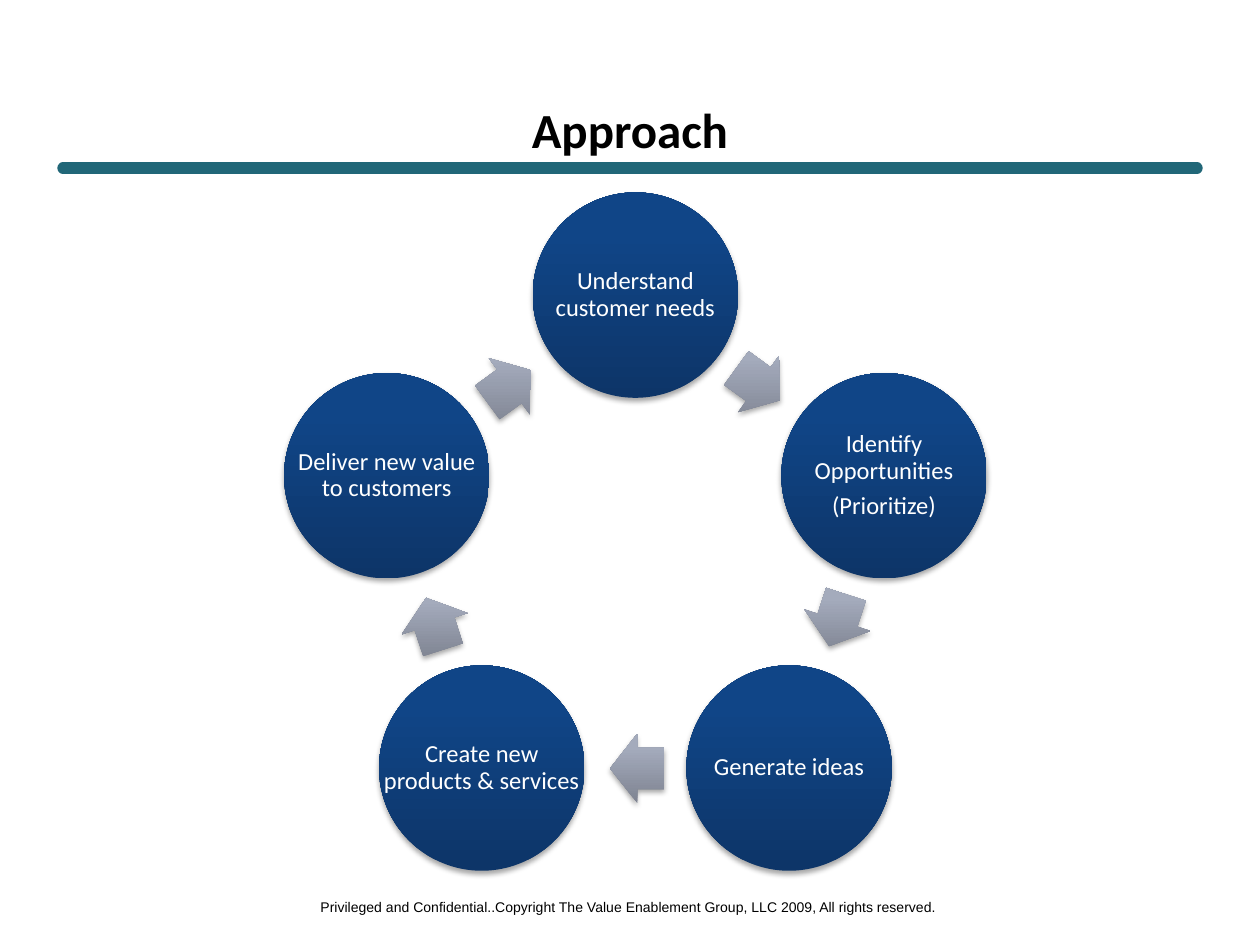
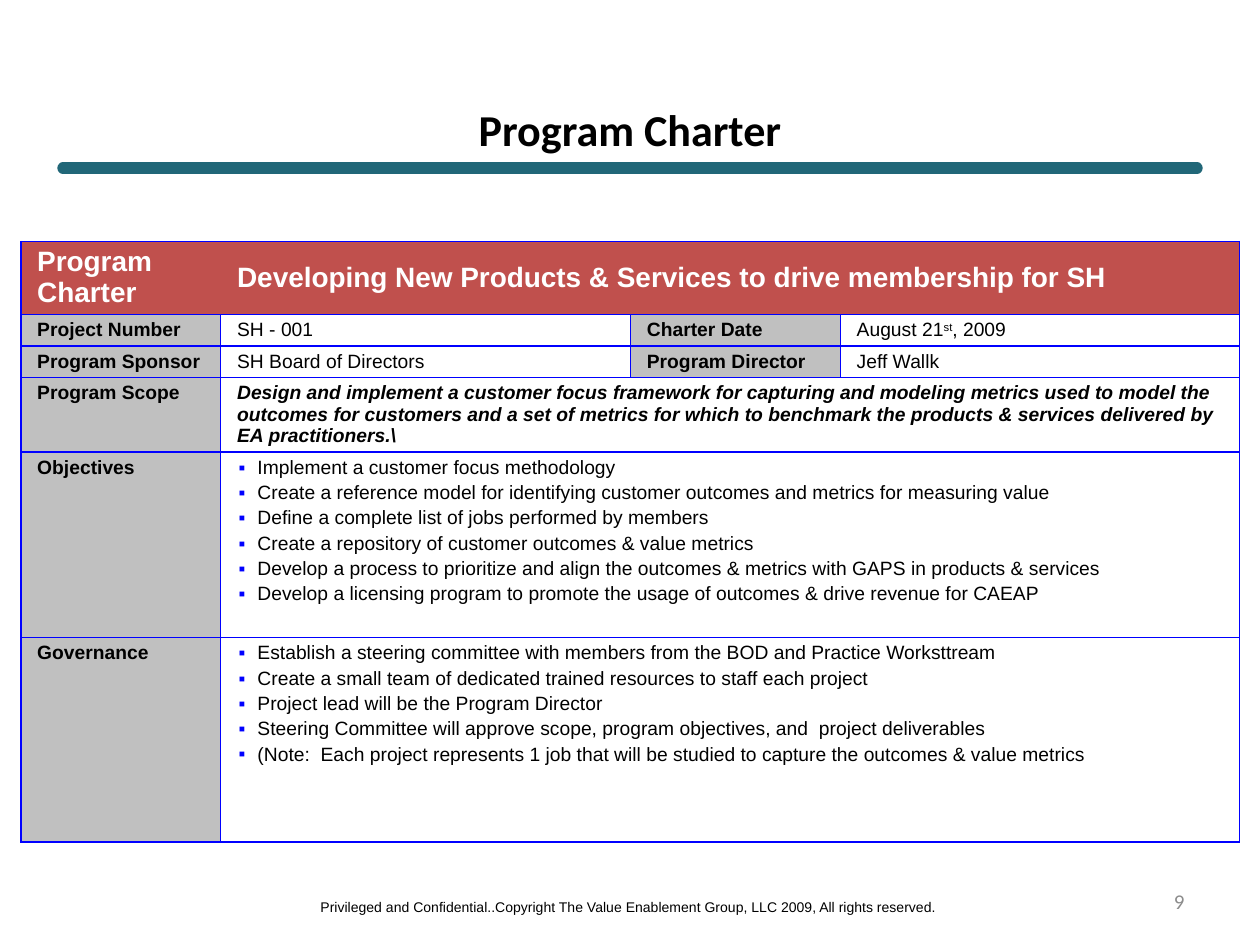
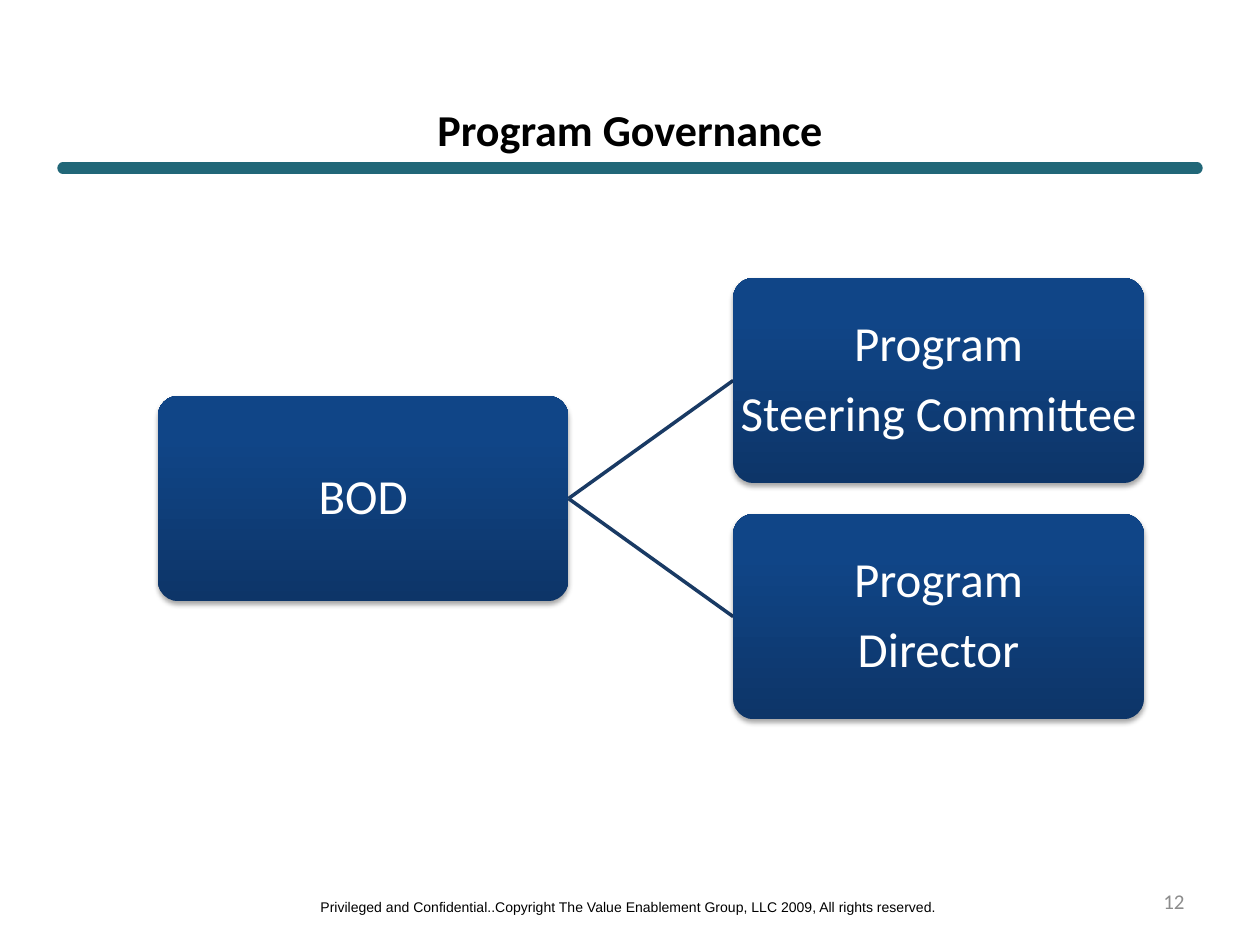
from dataclasses import dataclass
from copy import deepcopy
from math import cos, radians, sin

from lxml import etree
from pptx import Presentation
from pptx.dml.color import RGBColor
from pptx.enum import shapes, text
from pptx.oxml.ns import qn
from pptx.util import Cm, Pt

MIDDLE, TOP = text.MSO_ANCHOR.MIDDLE, text.MSO_ANCHOR.TOP
LEFT, CENTER, RIGHT = text.PP_ALIGN.LEFT, text.PP_ALIGN.CENTER, text.PP_ALIGN.RIGHT
PRESET = shapes.MSO_SHAPE
NO_TABLE_STYLE = "{2D5ABB26-0587-4C30-8999-92F81FD0307C}"


@dataclass(frozen=True)
class Theme:
    head_font: str = "Calibri"
    body_font: str = "Arial"
    black: str = "000000"
    white: str = "FFFFFF"
    rule: str = "216778"
    page: str = "8C8C8C"
    link: str = "193A64"
    border: str = "0000FF"
    header: str = "C0504D"
    label: str = "C0C0C0"
    navy: tuple = ((0, "0D3568"), (0.8, "104587"), (1, "0E458A"))
    steel: tuple = ((0, "7E8391"), (0.8, "A4ABBC"), (1, "A4ABBE"))
    title_big: float = 28
    title: float = 25.2
    box: float = 28
    circle: float = 14
    table_head: float = 16
    table: float = 11
    page_size: float = 12
    footer: float = 8


THEME = Theme()
FOOTER = ("Privileged and Confidential..Copyright The Value Enablement Group, "
          "LLC 2009, All rights reserved.")


def child(parent, tag, **attrs):
    return etree.SubElement(parent, qn(tag), {k: str(v) for k, v in attrs.items()})


def add_bullet(p, color):
    pPr = p._p.get_or_add_pPr()
    pPr.set("marL", str(Cm(0.41)))
    pPr.set("indent", str(Cm(-0.38)))
    child(child(pPr, "a:buClr"), "a:srgbClr", val=color)
    child(pPr, "a:buFont", typeface=THEME.body_font)
    child(pPr, "a:buChar", char="▪")


def write(tf, lines, *, size, font=THEME.body_font, color=THEME.black, bold=False,
          italic=False, align=LEFT, spacing=None, before=0, after=0, bullet=None):
    """Fill a text frame, one paragraph a line; ^marks^ enclose superscript."""
    for i, line in enumerate([lines] if isinstance(lines, str) else lines):
        p = tf.add_paragraph() if i else tf.paragraphs[0]
        if bullet:
            add_bullet(p, bullet)
        p.alignment = align
        p.line_spacing = spacing
        p.space_before = Pt(before if i else 0)
        p.space_after = Pt(after)
        for j, part in enumerate(line.split("^")):
            r = p.add_run()
            r.text = part
            f = r.font
            f.name, f.size, f.bold, f.italic = font, Pt(size), bold, italic
            f.color.rgb = RGBColor.from_string(color)
            if j % 2:
                r._r.get_or_add_rPr().set("baseline", "30000")


def fill_gradient(s, stops):
    """Run the stops from bottom to top, whatever the shape's rotation."""
    s.fill.gradient()
    s.fill.gradient_angle = 90
    grad = s._element.spPr.find(qn("a:gradFill"))
    grad.set("rotWithShape", "0")
    first = grad.find(qn("a:gsLst"))[0]
    first.addnext(deepcopy(first))
    for stop, (position, color) in zip(s.fill.gradient_stops, stops):
        stop.position = position
        stop.color.rgb = RGBColor.from_string(color)


def add_shadow(s):
    s.shadow.inherit = False
    effects = s._element.spPr.find(qn("a:effectLst"))
    shadow = child(effects, "a:outerShdw", blurRad=Pt(3.1), dist=Pt(1.8),
                   dir=5400000, rotWithShape=0)
    child(child(shadow, "a:srgbClr", val=THEME.black), "a:alpha", val=35000)


def set_borders(cell, sides):
    tcPr = cell._tc.get_or_add_tcPr()
    for i, side in enumerate(s for s in "LRTB" if s in sides):
        ln = child(tcPr, f"a:ln{side}", w=Pt(1))
        child(child(ln, "a:solidFill"), "a:srgbClr", val=THEME.border)
        tcPr.insert(i, ln)


class Deck:
    def __init__(self, theme):
        self.t = theme
        self.prs = Presentation()
        self.prs.slide_width, self.prs.slide_height = Cm(25.4), Cm(19.05)
        self.slide = None

    def start_slide(self, title, size, page=None):
        t = self.t
        self.slide = self.prs.slides.add_slide(self.prs.slide_layouts[6])
        rule = self.line(1.27, 3.39, 24.13, 3.39, t.rule, 6.5)
        rule.line._get_or_add_ln().set("cap", "rnd")
        self.text(6.12, 17.98, 13.11, 0.61, FOOTER, size=t.footer, align=CENTER,
                  wrap=False, anchor=TOP)
        self.text(1.27, 2.11, 22.86, 0.97, title, size=size, font=t.head_font,
                  bold=True, align=CENTER)
        if page:
            self.text(18.21, 17.65, 5.92, 1.02, str(page), size=t.page_size,
                      font=t.head_font, color=t.page, align=RIGHT)

    def text(self, x, y, w, h, lines, *, wrap=True, anchor=MIDDLE, inset=None, **fmt):
        tf = self.slide.shapes.add_textbox(Cm(x), Cm(y), Cm(w), Cm(h)).text_frame
        tf.word_wrap, tf.vertical_anchor = wrap, anchor
        if inset is not None:
            tf.margin_left = tf.margin_right = Cm(inset)
            tf.margin_top = tf.margin_bottom = Cm(inset)
        write(tf, lines, **fmt)

    def line(self, x1, y1, x2, y2, color, width):
        s = self.slide.shapes.add_connector(
            shapes.MSO_CONNECTOR.STRAIGHT, Cm(x1), Cm(y1), Cm(x2), Cm(y2))
        s.line.color.rgb = RGBColor.from_string(color)
        s.line.width = Pt(width)
        child(s._element.spPr, "a:effectLst")
        return s

    def shape(self, preset, cx, cy, w, h, stops, adjust=(), turn=0):
        """Draw a shaded preset shape around the centre cx, cy."""
        s = self.slide.shapes.add_shape(
            preset, Cm(cx - w / 2), Cm(cy - h / 2), Cm(w), Cm(h))
        for i, value in enumerate(adjust):
            s.adjustments[i] = value
        s.rotation = turn
        fill_gradient(s, stops)
        s.line.fill.background()
        add_shadow(s)

    def node(self, preset, cx, cy, w, h, lines, size, adjust=()):
        """Draw a shape whose label may use its full width."""
        self.shape(preset, cx, cy, w, h, self.t.navy, adjust)
        self.text(cx - w / 2, cy - h / 2, w, h, lines, inset=0.05, size=size,
                  font=self.t.head_font, color=self.t.white, align=CENTER,
                  spacing=0.9, after=0.35 * size)

    def table(self, x, y, widths, heights):
        table = self.slide.shapes.add_table(
            len(heights), len(widths), Cm(x), Cm(y),
            Cm(sum(widths)), Cm(sum(heights))).table
        table._tbl.tblPr.find(qn("a:tableStyleId")).text = NO_TABLE_STYLE
        for column, width in zip(table.columns, widths):
            column.width = Cm(width)
        for row, height in zip(table.rows, heights):
            row.height = Cm(height)
        return table

    def cell(self, cell, lines, *, fill=None, sides="LRTB", anchor=TOP, **fmt):
        """Fill a cell; top text needs no bottom margin, so rows keep their height."""
        cell.fill.solid()
        cell.fill.fore_color.rgb = RGBColor.from_string(fill or self.t.white)
        cell.margin_left = cell.margin_right = Cm(0.33)
        cell.margin_top = Cm(0.1)
        cell.margin_bottom = Cm(0.1 if anchor == MIDDLE else 0)
        cell.vertical_anchor = anchor
        set_borders(cell, sides)
        write(cell.text_frame, lines, **{"size": self.t.table, **fmt})


def approach(deck):
    deck.start_slide("Approach", THEME.title_big)
    steps = ["Understand customer needs", ["Identify Opportunities", "(Prioritize)"],
             "Generate ideas", "Create new products & services",
             "Deliver new value to customers"]
    cx, cy, step_radius, arrow_radius, diameter = 12.81, 11.22, 5.27, 4.27, 4.14
    pitch, arrow_lag = 360 / len(steps), 0.5

    def on_ring(radius, angle):
        a = radians(angle)
        return cx + radius * sin(a), cy - radius * cos(a)

    for i, step in enumerate(steps):
        deck.node(PRESET.OVAL, *on_ring(step_radius, i * pitch), diameter, diameter,
                  step, THEME.circle)
        turn = (i + 0.5) * pitch
        deck.shape(PRESET.RIGHT_ARROW, *on_ring(arrow_radius, turn - arrow_lag), 1.1, 1.4,
                   THEME.steel, (0.6, 0.5), turn)


def program_charter(deck):
    deck.start_slide("Program Charter", THEME.title, page=9)
    table = deck.table(0.42, 4.87, [4.03, 8.26, 4.23, 8.05],
                       [1.47, 0.63, 0.64, 1.5, 3.74, 4.12])
    header = dict(fill=THEME.header, size=THEME.table_head, color=THEME.white, bold=True)
    label = dict(fill=THEME.label, bold=True)
    bullets = dict(bullet=THEME.border, before=2.2)

    def wide_row(row, name, lines, name_format=label, **fmt):
        """Write a name cell and one cell merged over the other columns."""
        deck.cell(table.cell(row, 0), name, **name_format)
        for column, sides in ((2, "TB"), (3, "RTB")):
            set_borders(table.cell(row, column), sides)
        table.cell(row, 1).merge(table.cell(row, 3))
        deck.cell(table.cell(row, 1), lines, **fmt)

    wide_row(0, "Program Charter",
             "Developing New Products & Services to drive membership for SH",
             {**header, "sides": "LTB"}, **header, sides="RTB", anchor=MIDDLE)
    facts = [("Project Number", "SH - 001", "Charter Date", "August 21^st^, 2009"),
             ("Program Sponsor", "SH Board of Directors", "Program Director", "Jeff Wallk")]
    for row, values in enumerate(facts, 1):
        for column, value in enumerate(values):
            deck.cell(table.cell(row, column), value, **({} if column % 2 else label))
    wide_row(3, "Program Scope",
             "Design and implement a customer focus framework for capturing and modeling "
             "metrics used to model the outcomes for customers and a set of metrics for "
             "which to benchmark the products & services delivered by EA practitioners.\\",
             bold=True, italic=True)
    wide_row(4, "Objectives", [
        "Implement a customer focus methodology",
        "Create a reference model for identifying customer outcomes and metrics for "
        "measuring value",
        "Define a complete list of jobs performed by members",
        "Create a repository of customer outcomes & value metrics",
        "Develop a process to prioritize and align the outcomes & metrics with GAPS in "
        "products & services",
        "Develop a licensing program to promote the usage of outcomes & drive revenue "
        "for CAEAP"], **bullets)
    wide_row(5, "Governance", [
        "Establish a steering committee with members from the BOD and Practice Worksttream",
        "Create a small team of dedicated trained resources to staff each project",
        "Project lead will be the Program Director",
        "Steering Committee will approve scope, program objectives, and  project deliverables",
        "(Note:  Each project represents 1 job that will be studied to capture the "
        "outcomes & value metrics"], **bullets)


def program_governance(deck):
    deck.start_slide("Program Governance", THEME.title, page=12)
    w, h = 8.28, 4.14
    board_x, team_x, cy, offset = 7.32, 18.92, 10.05, 2.38

    def box(cx, y, lines):
        deck.node(PRESET.ROUNDED_RECTANGLE, cx, y, w, h, lines, THEME.box, (0.1,))

    box(board_x, cy, "BOD")
    for y, team in ((cy - offset, "Steering Committee"), (cy + offset, "Director")):
        deck.line(board_x + w / 2, cy, team_x - w / 2, y, THEME.link, 2)
        box(team_x, y, ["Program", team])


def main():
    deck = Deck(THEME)
    approach(deck)
    program_charter(deck)
    program_governance(deck)
    deck.prs.save("out.pptx")


if __name__ == "__main__":
    main()
